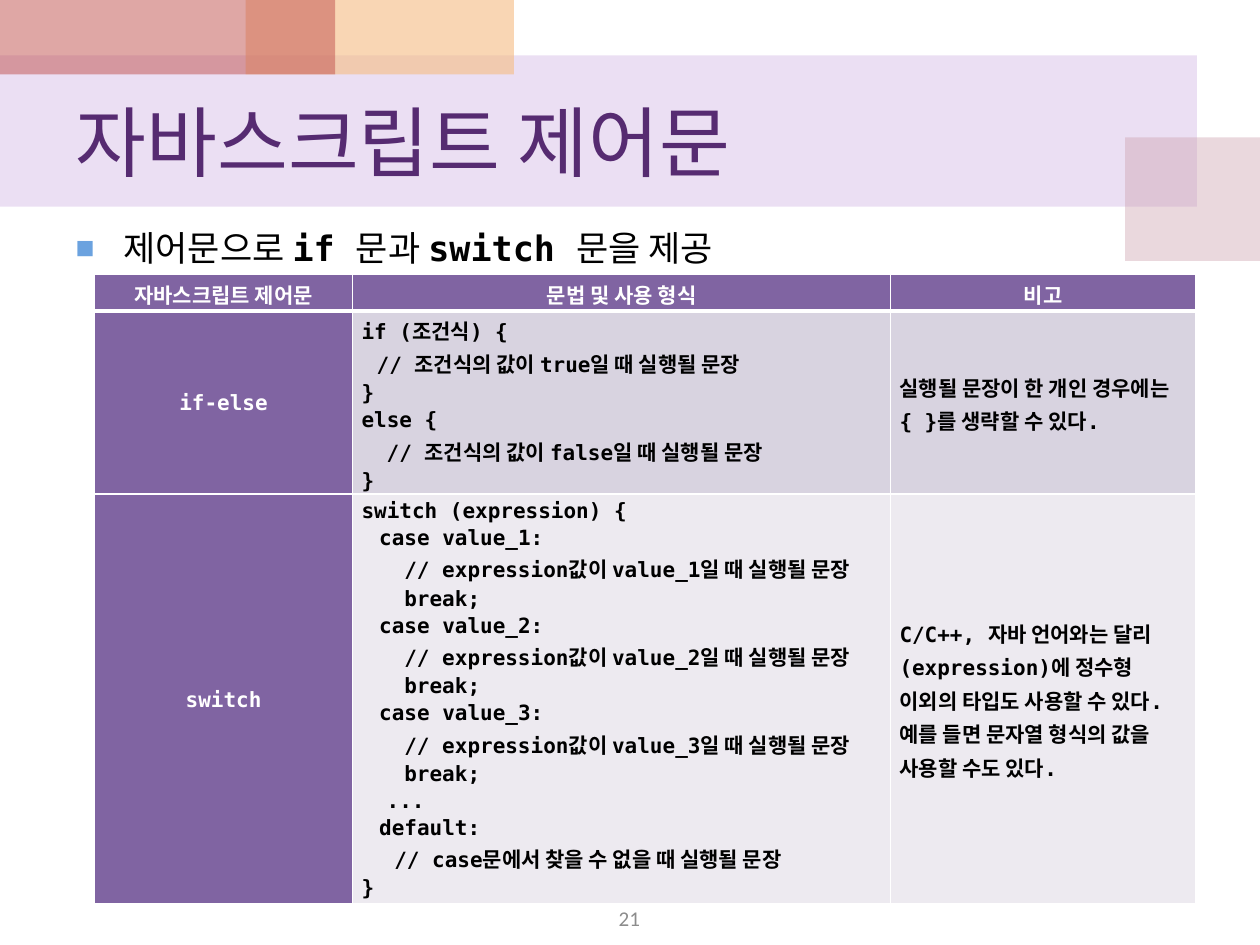
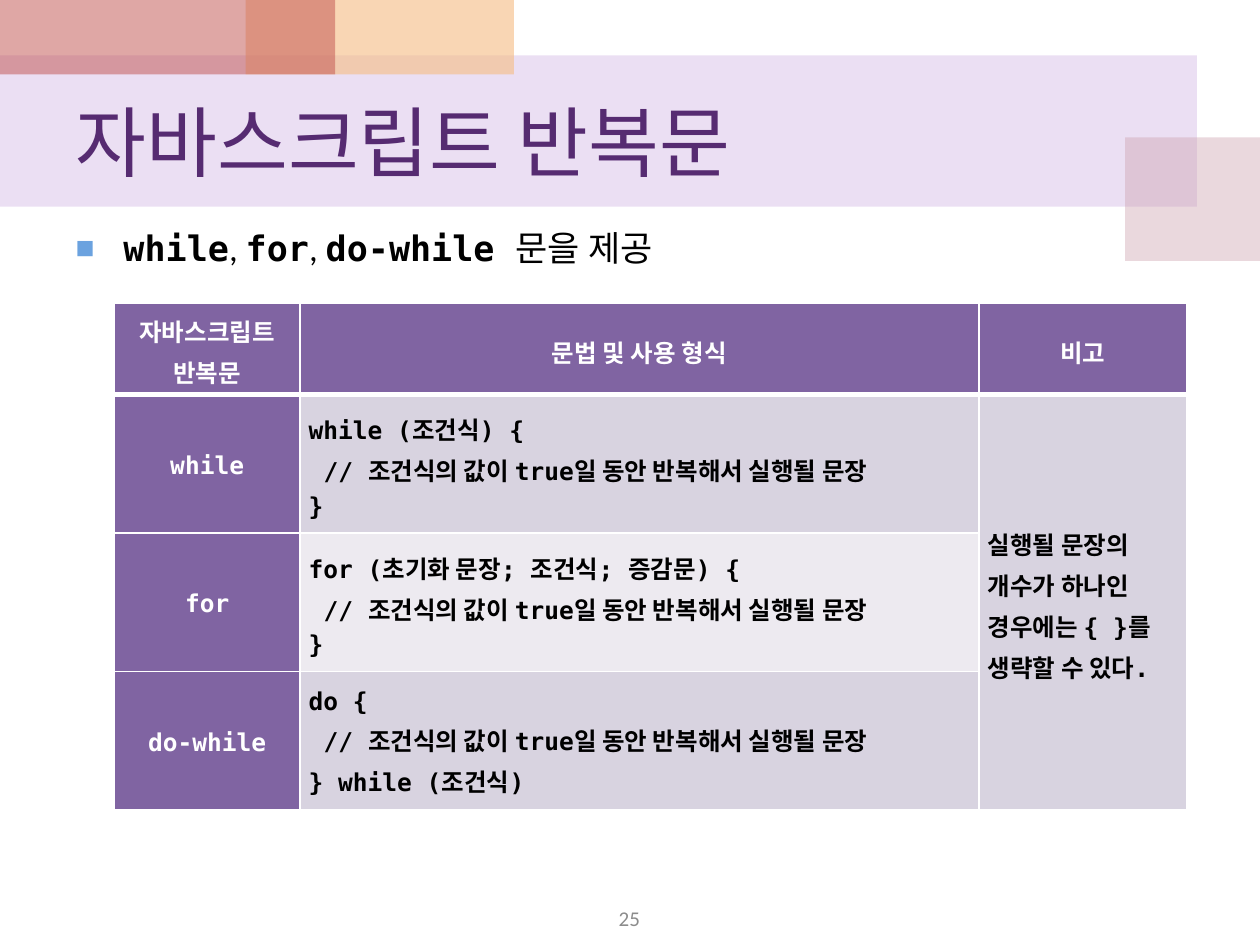
from lxml.etree import SubElement
from pptx import Presentation
from pptx.dml.color import RGBColor
from pptx.enum.shapes import MSO_SHAPE as Preset
from pptx.enum.text import MSO_ANCHOR as Anchor, PP_ALIGN as Align
from pptx.oxml.ns import qn
from pptx.util import Inches, Pt

SANS, MONO = "Calibri", "DejaVu Sans Mono"
PURPLE, WHITE, BLACK = "8064A2", "FFFFFF", "000000"
BANDS = ["D8D3E0", "EDEAF0"]


def rgb(code):
    return RGBColor.from_string(code)


def write(para, text, size=20, font=SANS, color=BLACK, bold=False,
          align=Align.LEFT, spacing=None, indent=None):
    para.alignment = align
    if spacing:
        para.line_spacing = spacing
    if indent:
        para._p.get_or_add_pPr().set("indent", str(Inches(indent)))
    span = para.add_run()
    span.text = text
    span.font.size = Pt(size)
    span.font.name = font
    span.font.bold = bold
    span.font.color.rgb = rgb(color)


# Backdrop: left, top, width, height, colour, opacity in percent
blocks = [
    (0, 0.44, 9.5, 1.2, "BF98D8", 30),
    (8.93, 1.09, 1.07, 0.98, "CC9EAC", 40),
    (1.95, 0, 2.13, 0.59, "F5BC83", 60),
    (0, 0, 2.66, 0.59, "C0504D", 50),
]

# Code lines are plain text, or (first-line indent, text)
switch_lines = ["switch (expression) {"]
for number in (1, 2, 3):
    switch_lines += [
        (0.14, f"case value_{number}:"),
        (0.34, f"// expression값이 value_{number}일 때 실행될 문장"),
        (0.34, "break;"),
    ]
switch_lines += [
    (0.2, "..."),
    (0.14, "default:"),
    (0.26, "// case문에서 찾을 수 없을 때 실행될 문장"),
    "}",
]
loop_comment = (0.12, "// 조건식의 값이 true일 동안 반복해서 실행될 문장")

# Row heights hold all code lines and end above the page number
pages = [
    {
        "title": "자바스크립트 제어문",
        "lead": [("제어문으로 ", False), ("if ", True), ("문과 ", False),
                 ("switch ", True), ("문을 제공", False)],
        "number": "21",
        "at": (0.75, 2.18),
        "columns": [2.05, 4.27, 2.42],
        "heights": [0.29, 1.45, 3.25],
        "size": 12,
        "spacing": 1.1,
        "rows": [
            [["자바스크립트 제어문"], ["문법 및 사용 형식"], ["비고"]],
            [["if-else"],
             ["if (조건식) {",
              (0.12, "// 조건식의 값이 true일 때 실행될 문장"),
              "}",
              "else {",
              (0.2, "// 조건식의 값이 false일 때 실행될 문장"),
              "}"],
             ["실행될 문장이 한 개인 경우에는 { }를 생략할 수 있다."]],
            [["switch"],
             switch_lines,
             ["C/C++, 자바 언어와는 달리 (expression)에 정수형 이외의 타입도 "
              "사용할 수 있다. 예를 들면 문자열 형식의 값을 사용할 수도 있다."]],
        ],
        "merged_note": False,
    },
    {
        "title": "자바스크립트 반복문",
        "lead": [("while", True), (", ", False), ("for", True), (", ", False),
                 ("do-while ", True), ("문을 제공", False)],
        "number": "25",
        "at": (0.91, 2.41),
        "columns": [1.47, 5.39, 1.65],
        "heights": [0.72, 1.1, 1.1, 1.1],
        "size": 14,
        "spacing": 1.15,
        "rows": [
            [["자바스크립트", "반복문"], ["문법 및 사용 형식"], ["비고"]],
            [["while"], ["while (조건식) {", loop_comment, "}"],
             ["실행될 문장의 개수가 하나인 경우에는 { }를 생략할 수 있다."]],
            [["for"], ["for (초기화 문장; 조건식; 증감문) {", loop_comment, "}"], []],
            [["do-while"], ["do {", loop_comment, "} while (조건식)"], []],
        ],
        "merged_note": True,
    },
]

deck = Presentation()
deck.slide_width, deck.slide_height = Inches(10), Inches(7.5)
layout = deck.slide_layouts[1]

# Shared places of title and body
for holder, top, height in zip(layout.placeholders, (0.59, 1.75), (1.05, 4.95)):
    holder.left, holder.top = Inches(0.5), Inches(top)
    holder.width, holder.height = Inches(9), Inches(height)
first_holder = layout.shapes[0].element

for index, content in enumerate(pages):
    page = deck.slides.add_slide(layout)

    # Backdrop, drawn once and moved to the layout
    if index == 0:
        for left, top, width, height, color, opacity in blocks:
            block = page.shapes.add_shape(Preset.RECTANGLE, Inches(left), Inches(top),
                                          Inches(width), Inches(height))
            block.shadow.inherit = False
            block.line.fill.background()
            block.fill.solid()
            block.fill.fore_color.rgb = rgb(color)
            tint = block.element.find(".//" + qn("a:srgbClr"))
            SubElement(tint, qn("a:alpha"), val=str(opacity * 1000))
            first_holder.addprevious(block.element)

    # Title
    write(page.shapes.title.text_frame.paragraphs[0], content["title"],
          size=44, color="562B71")

    # Lead line with a square bullet
    para = page.placeholders[1].text_frame.paragraphs[0]
    for text, is_code in content["lead"]:
        write(para, text, font=MONO if is_code else SANS, bold=is_code)
    format_node = para._p.get_or_add_pPr()
    format_node.set("marL", str(Inches(0.38)))
    format_node.set("indent", str(Inches(-0.38)))
    bullet_color = SubElement(format_node, qn("a:buClr"))
    SubElement(bullet_color, qn("a:srgbClr"), val="6BA2DF")
    SubElement(format_node, qn("a:buSzPct"), val="90000")
    SubElement(format_node, qn("a:buChar"), char="■")

    # Page number
    box = page.shapes.add_textbox(Inches(3.83), Inches(7.15), Inches(2.33), Inches(0.27))
    box.text_frame.word_wrap = True
    box.text_frame.vertical_anchor = Anchor.MIDDLE
    write(box.text_frame.paragraphs[0], content["number"], size=12,
          color="8C8C8C", align=Align.CENTER)

    # Syntax table
    rows, columns, heights = content["rows"], content["columns"], content["heights"]
    left, top = content["at"]
    table = page.shapes.add_table(len(rows), len(columns), Inches(left), Inches(top),
                                  Inches(sum(columns)), Inches(sum(heights))).table
    for column, width in zip(table.columns, columns):
        column.width = Inches(width)
    for row, height in zip(table.rows, heights):
        row.height = Inches(height)

    for r, row in enumerate(rows):
        for c, lines in enumerate(row):
            cell = table.cell(r, c)
            is_label = r == 0 or c == 0
            cell.vertical_anchor = Anchor.MIDDLE
            cell.margin_left = cell.margin_right = Inches(0.07)
            cell.margin_top = cell.margin_bottom = 0

            # White borders, thick under the header
            for side in "LRTB":
                thick = (r, side) in [(0, "B"), (1, "T")]
                border = SubElement(cell._tc.get_or_add_tcPr(), qn("a:ln" + side),
                                    w=str(Pt(3 if thick else 1)))
                SubElement(SubElement(border, qn("a:solidFill")),
                           qn("a:srgbClr"), val=WHITE)
            cell.fill.solid()
            cell.fill.fore_color.rgb = rgb(PURPLE if is_label else BANDS[(r - 1) % 2])

            frame = cell.text_frame
            for n, line in enumerate(lines):
                indent, text = line if isinstance(line, tuple) else (None, line)
                para = frame.add_paragraph() if n else frame.paragraphs[0]
                write(para, text, size=content["size"], font=MONO, bold=True,
                      color=WHITE if is_label else BLACK,
                      align=Align.CENTER if is_label else Align.LEFT,
                      spacing=content["spacing"], indent=indent)

    if content["merged_note"]:
        table.cell(1, 2).merge(table.cell(len(rows) - 1, 2))

deck.save("out.pptx")
